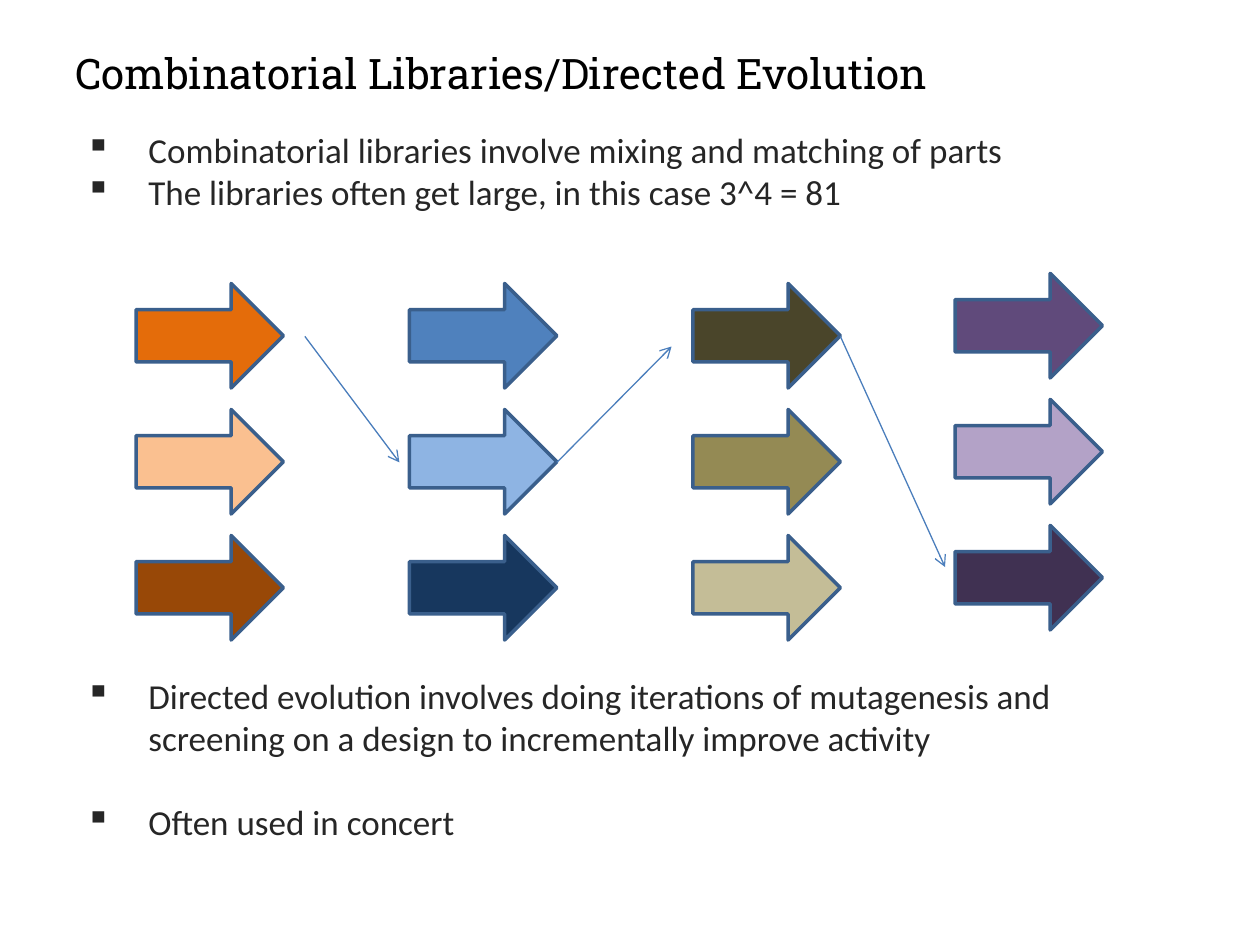
from lxml.etree import SubElement as add_xml
from pptx import Presentation
from pptx.dml.color import RGBColor
from pptx.enum.shapes import MSO_CONNECTOR as Connector, MSO_SHAPE as Shape
from pptx.enum.text import MSO_AUTO_SIZE as AutoSize
from pptx.oxml.ns import qn
from pptx.util import Inches, Pt

COLORS = {
    "title": "000000", "body": "262626", "outline": "3A5F8C", "link": "4B7EBC",
    "orange": "E46C0A", "peach": "FAC090", "brown": "984807",
    "blue": "4F81BD", "sky": "8EB4E3", "navy": "17375E",
    "dark olive": "4A452A", "olive": "948A54", "sand": "C4BD97",
    "purple": "604A7B", "lilac": "B3A2C7", "plum": "403152",
}


def rgb(name):
    return RGBColor.from_string(COLORS[name])


class SlideBuilder:
    title_font = "Roboto Slab"
    body_font = "Calibri"

    def __init__(self, slide):
        self.slide = slide

    def frame(self, left, top, width, height):
        box = self.slide.shapes.add_textbox(
            Inches(left), Inches(top), Inches(width), Inches(height))
        box.text_frame.word_wrap = True
        box.text_frame.auto_size = AutoSize.SHAPE_TO_FIT_TEXT
        return box.text_frame

    def run(self, paragraph, text, font, size, color):
        run = paragraph.add_run()
        run.text = text
        run.font.name = font
        run.font.size = Pt(size)
        run.font.color.rgb = rgb(color)

    def title(self, text, *place):
        self.run(self.frame(*place).paragraphs[0], text, self.title_font, 24, "title")

    def bullets(self, items, *place):
        frame = self.frame(*place)
        for index, (text, gap) in enumerate(items):
            paragraph = frame.add_paragraph() if index else frame.paragraphs[0]
            if gap:
                paragraph.space_before = Pt(gap)
            properties = paragraph._p.get_or_add_pPr()
            properties.set("marL", str(Inches(0.5)))
            properties.set("indent", str(-Inches(0.5)))
            add_xml(properties, qn("a:buChar"), char="▪")
            self.run(paragraph, text, self.body_font, 20, "body")

    def block_arrow(self, left, top, color):
        variant = self.slide.shapes.add_shape(
            Shape.RIGHT_ARROW, Inches(left), Inches(top), Inches(1.17), Inches(0.83))
        variant.shadow.inherit = False
        variant.fill.solid()
        variant.fill.fore_color.rgb = rgb(color)
        variant.line.color.rgb = rgb("outline")
        variant.line.width = Pt(2)

    def link(self, start, end):
        link = self.slide.shapes.add_connector(
            Connector.STRAIGHT, *map(Inches, start + end))
        link.line.color.rgb = rgb("link")
        link.line.width = Pt(0.75)
        add_xml(link.line._get_or_add_ln(), qn("a:tailEnd"), type="arrow")
        add_xml(link._element.spPr, qn("a:effectLst"))


def main():
    deck = Presentation()
    deck.slide_width, deck.slide_height = Inches(10), Inches(7.5)
    builder = SlideBuilder(deck.slides.add_slide(deck.slide_layouts[6]))

    builder.title("Combinatorial Libraries/Directed Evolution", 0.5, 0.33, 9.17, 0.51)

    line_height = 24
    builder.bullets([
        ("Combinatorial libraries involve mixing and matching of parts", 0),
        ("The libraries often get large, in this case 3^4 = 81", 0),
        ("Directed evolution involves doing iterations of mutagenesis and "
         "screening on a design to incrementally improve activity", 11 * line_height),
        ("Often used in concert", line_height),
    ], 0.58, 0.97, 8.83, 5.82)

    libraries = [
        (1.08, 2.25, ("orange", "peach", "brown")),
        (3.25, 2.25, ("blue", "sky", "navy")),
        (5.5, 2.25, ("dark olive", "olive", "sand")),
        (7.58, 2.17, ("purple", "lilac", "plum")),
    ]
    for left, top, variants in libraries:
        for row, color in enumerate(variants):
            builder.block_arrow(left, top + row, color)

    for start, end in [
        ((2.42, 2.67), (3.17, 3.67)),
        ((4.42, 3.67), (5.33, 2.75)),
        ((6.67, 2.67), (7.5, 4.5)),
    ]:
        builder.link(start, end)

    deck.save("out.pptx")


if __name__ == "__main__":
    main()
